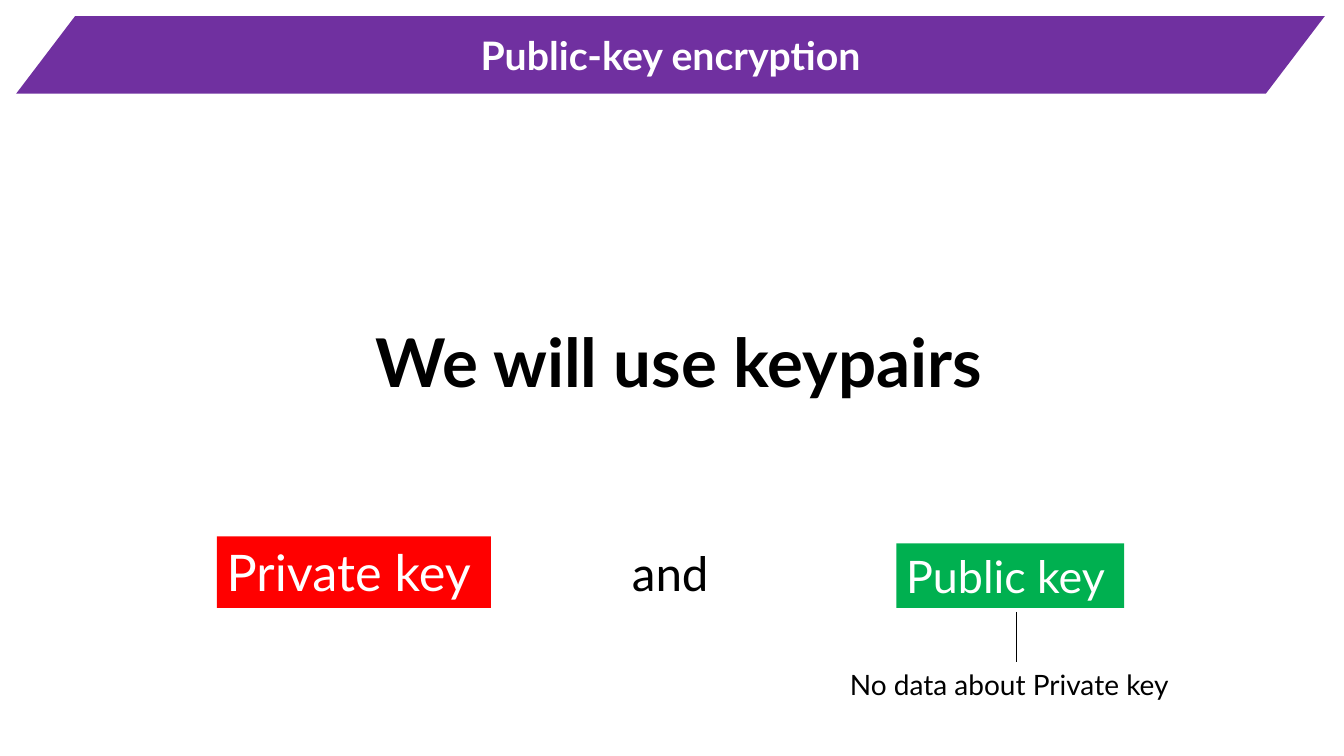
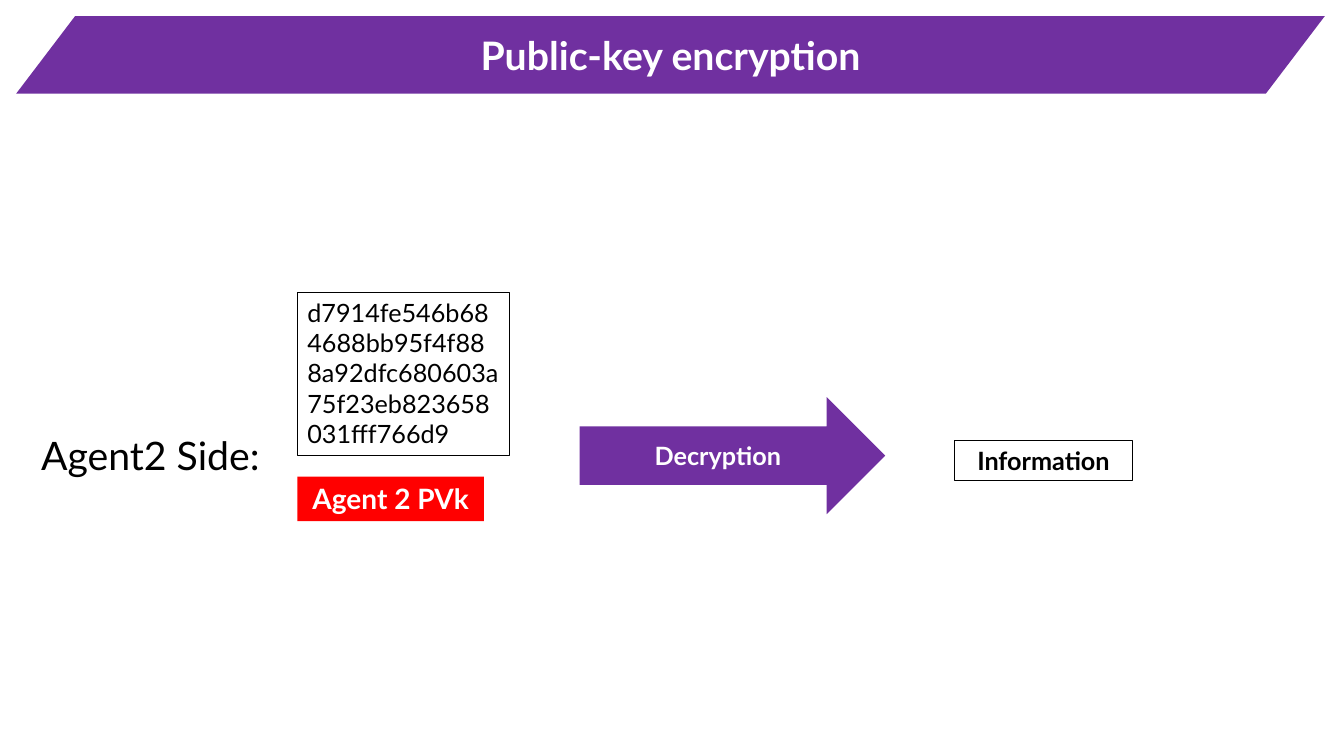
from lxml import etree
from pptx import Presentation
from pptx.dml.color import RGBColor
from pptx.enum import shapes, text
from pptx.oxml import ns
from pptx.util import Inches, Pt

PURPLE = RGBColor(0x70, 0x30, 0xA0)
RED = RGBColor(0xFF, 0x00, 0x00)
GREEN = RGBColor(0x00, 0xB0, 0x50)
BLACK = RGBColor(0x00, 0x00, 0x00)
WHITE = RGBColor(0xFF, 0xFF, 0xFF)
FONT = "Lato"
SHAPE = shapes.MSO_SHAPE
LEFT, CENTER = text.PP_ALIGN.LEFT, text.PP_ALIGN.CENTER
TOP, MIDDLE = text.MSO_ANCHOR.TOP, text.MSO_ANCHOR.MIDDLE
BAND_BOX = (0.16, 0.16, 12.98, 0.77)
CONTENT_BOX = (0.31, 2.9, 12.71, 4.11)


def write(shape, wording, size, color=BLACK, bold=False, align=LEFT,
          anchor=TOP, font=FONT, wrap=True):
    """Fill a shape with one styled paragraph."""
    frame = shape.text_frame
    frame.text = wording
    frame.word_wrap = wrap
    frame.vertical_anchor = anchor
    paragraph = frame.paragraphs[0]
    paragraph.alignment = align
    style = paragraph.runs[0].font
    style.name, style.size, style.bold = font, Pt(size), bold
    style.color.rgb = color


def add_label(slide, box, wording, size, **style):
    """Add plain text without fill or outline."""
    label = slide.shapes.add_textbox(*map(Inches, box))
    write(label, wording, size, **style)


def add_block(slide, box, wording, size, fill=None, kind=SHAPE.RECTANGLE, **style):
    """Add a filled shape with white text, or an outlined one with black text."""
    block = slide.shapes.add_shape(kind, *map(Inches, box))
    block.shadow.inherit = False
    if fill is None:
        block.fill.background()
        block.line.color.rgb = BLACK
        block.line.width = Pt(0.75)
    else:
        block.fill.solid()
        block.fill.fore_color.rgb = fill
        block.line.fill.background()
    write(block, wording, size, color=BLACK if fill is None else WHITE, **style)
    return block


def add_stem(slide, x, top, bottom):
    """Add a thin vertical line."""
    stem = slide.shapes.add_connector(
        shapes.MSO_CONNECTOR.STRAIGHT,
        Inches(x), Inches(top), Inches(x), Inches(bottom))
    stem.line.color.rgb = BLACK
    stem.line.width = Pt(0.5)
    etree.SubElement(stem._element.spPr, ns.qn("a:effectLst"))


def add_title_band(slide, box):
    """Add the slanted title band shared by the slides."""
    band = add_block(slide, box, "Public-key encryption", 28, PURPLE,
                     SHAPE.PARALLELOGRAM, bold=True, align=CENTER, anchor=MIDDLE)
    band.adjustments[0] = 0.76


def add_keypair(slide, box):
    """Present the private and public key under a headline."""
    left, top, _, height = box
    base = top + 3.13
    bottom = top + height
    add_label(slide, (left + 3.32, top + 0.23, 6.63, 0.91),
              "We will use keypairs", 48, bold=True)
    add_block(slide, (left + 1.84, base - 0.71, 2.72, 0.71), "Private key", 36, RED)
    add_label(slide, (left + 5.85, base - 0.71, 0.97, 0.71), "and", 36,
              align=CENTER, font="Calibri", wrap=False)
    add_block(slide, (left + 8.58, base - 0.64, 2.26, 0.64), "Public key", 32, GREEN)
    add_label(slide, (left + 8.02, bottom - 0.44, 3.49, 0.44),
              "No data about Private key", 20)
    add_stem(slide, left + 9.77, base + 0.04, bottom - 0.44)


def add_decryption(slide, box):
    """Show the second agent decrypting the message from left to right."""
    left, top, _, _ = box
    axis = top + 1.62
    message_left = left + 2.64
    add_label(slide, (left, axis - 0.29, 2.41, 0.57), "Agent2 Side:", 28)
    add_block(slide, (message_left, top, 2.1, 1.62),
              "d7914fe546b684688bb95f4f888a92dfc680603a75f23eb823658031fff766d9", 18)
    add_block(slide, (message_left, axis + 0.21, 1.85, 0.44), "Agent 2 PVk", 20, RED,
              bold=True, align=CENTER)
    add_block(slide, (left + 5.44, axis - 0.58, 3.03, 1.16), "Decryption", 18, PURPLE,
              SHAPE.RIGHT_ARROW, bold=True, align=CENTER, anchor=MIDDLE)
    add_block(slide, (left + 9.16, axis - 0.15, 1.76, 0.4), "Information", 18,
              bold=True, align=CENTER)


def main():
    """Build and save the slides."""
    deck = Presentation()
    deck.slide_width, deck.slide_height = Inches(13.33), Inches(7.5)
    for add_content in (add_keypair, add_decryption):
        slide = deck.slides.add_slide(deck.slide_layouts[6])
        add_title_band(slide, BAND_BOX)
        add_content(slide, CONTENT_BOX)
    deck.save("out.pptx")


if __name__ == "__main__":
    main()
